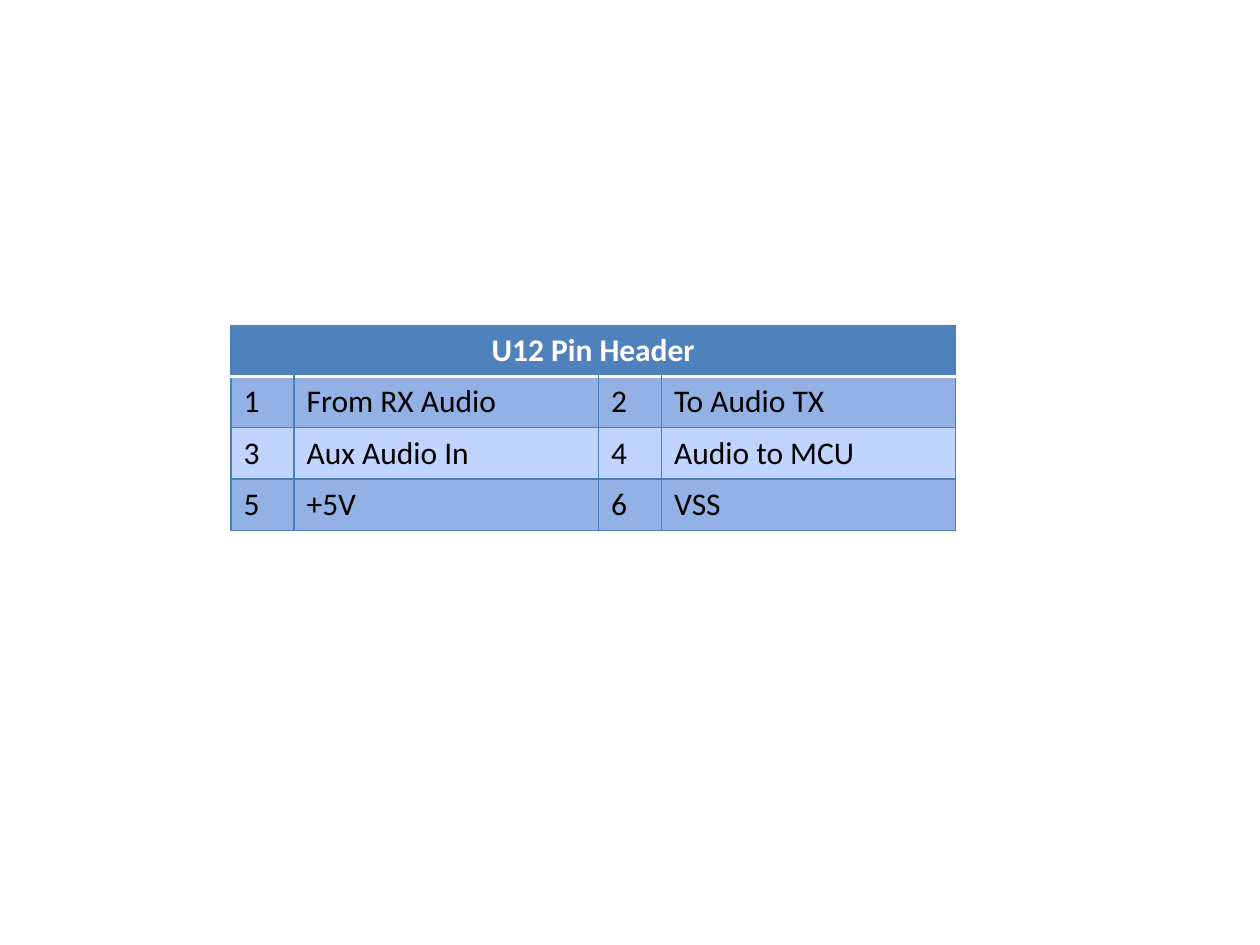
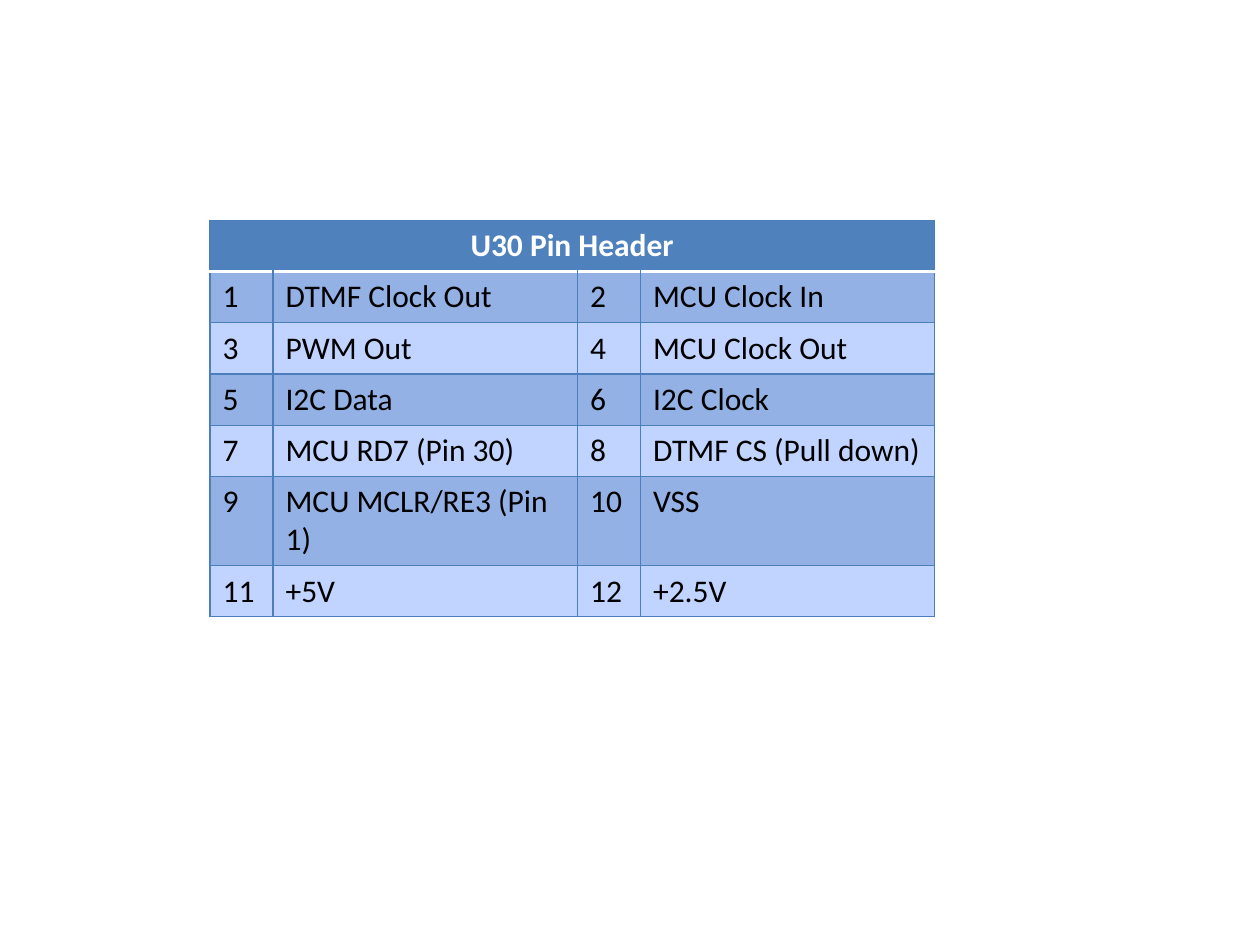
"""Build two slides that list the pin headers U12 and U30."""
from lxml.etree import SubElement
from pptx import Presentation
from pptx.dml.color import RGBColor
from pptx.enum.text import PP_ALIGN as Align
from pptx.oxml.ns import qn
from pptx.util import Pt

PX = 9525


def px(n):
    return n * PX


def rgb(color):
    return RGBColor.from_string(color)


def put_text(tf, text, size=18, color="000000", bold=False, align=Align.LEFT, font="Calibri"):
    p = tf.paragraphs[0]
    p.alignment = align
    r = p.add_run()
    r.text = text
    r.font.name, r.font.size, r.font.bold = font, Pt(size), bold
    r.font.color.rgb = rgb(color)


class Deck:
    HEAD, WHITE, GRID = "4F81BD", "FFFFFF", "4B7EBC"
    BANDS = ("93B1E4", "C0D4FF")
    COLS, ROW = (48, 232, 48, 224), 39

    def __init__(self):
        self.prs = Presentation()
        self.prs.slide_width, self.prs.slide_height = px(960), px(720)
        self.s = None

    def slide(self):
        self.s = self.prs.slides.add_slide(self.prs.slide_layouts[6])

    def border(self, cell, side, color, width):
        tcPr = cell._tc.get_or_add_tcPr()
        ln = SubElement(tcPr, qn(f"a:ln{side}"), w=str(Pt(width)))
        fill = SubElement(ln, qn("a:solidFill"))
        SubElement(fill, qn("a:srgbClr"), val=color)

    def cell(self, cell, row, fill):
        rule = {0: "B", 1: "T"}.get(row)
        for side in "LRTB":
            color, width = (self.WHITE, 2) if side == rule else (self.GRID, 0.75)
            self.border(cell, side, color, width)
        cell.fill.solid()
        cell.fill.fore_color.rgb = rgb(fill)

    def pin_table(self, left, top, title, pins):
        n = len(self.COLS)
        pairs = [pins[i:i + 2] for i in range(0, len(pins), 2)]
        rows = len(pairs) + 1
        tbl = self.s.shapes.add_table(
            rows, n, px(left), px(top), px(sum(self.COLS)), px(rows * self.ROW)).table
        for col, width in zip(tbl.columns, self.COLS):
            col.width = px(width)
        for i, row in enumerate(tbl.rows):
            row.height = px(self.ROW)
            for c in row.cells:
                self.cell(c, i, self.BANDS[(i - 1) % 2] if i else self.HEAD)
        tbl.cell(0, 0).merge(tbl.cell(0, n - 1))
        put_text(tbl.cell(0, 0).text_frame, title, color=self.WHITE, bold=True, align=Align.CENTER)
        for i, pair in enumerate(pairs):
            for j, name in enumerate(pair):
                put_text(tbl.cell(i + 1, 2 * j).text_frame, str(2 * i + j + 1))
                put_text(tbl.cell(i + 1, 2 * j + 1).text_frame, name)


def main():
    deck = Deck()
    deck.slide()
    deck.pin_table(176, 248, "U12 Pin Header", [
        "From RX Audio", "To Audio TX",
        "Aux Audio In", "Audio to MCU",
        "+5V", "VSS"])
    deck.slide()
    deck.pin_table(160, 168, "U30 Pin Header", [
        "DTMF Clock Out", "MCU Clock In",
        "PWM Out", "MCU Clock Out",
        "I2C Data", "I2C Clock",
        "MCU RD7 (Pin 30)", "DTMF CS (Pull down)",
        "MCU MCLR/RE3 (Pin 1)", "VSS",
        "+5V", "+2.5V"])
    deck.prs.save("out.pptx")


if __name__ == "__main__":
    main()
